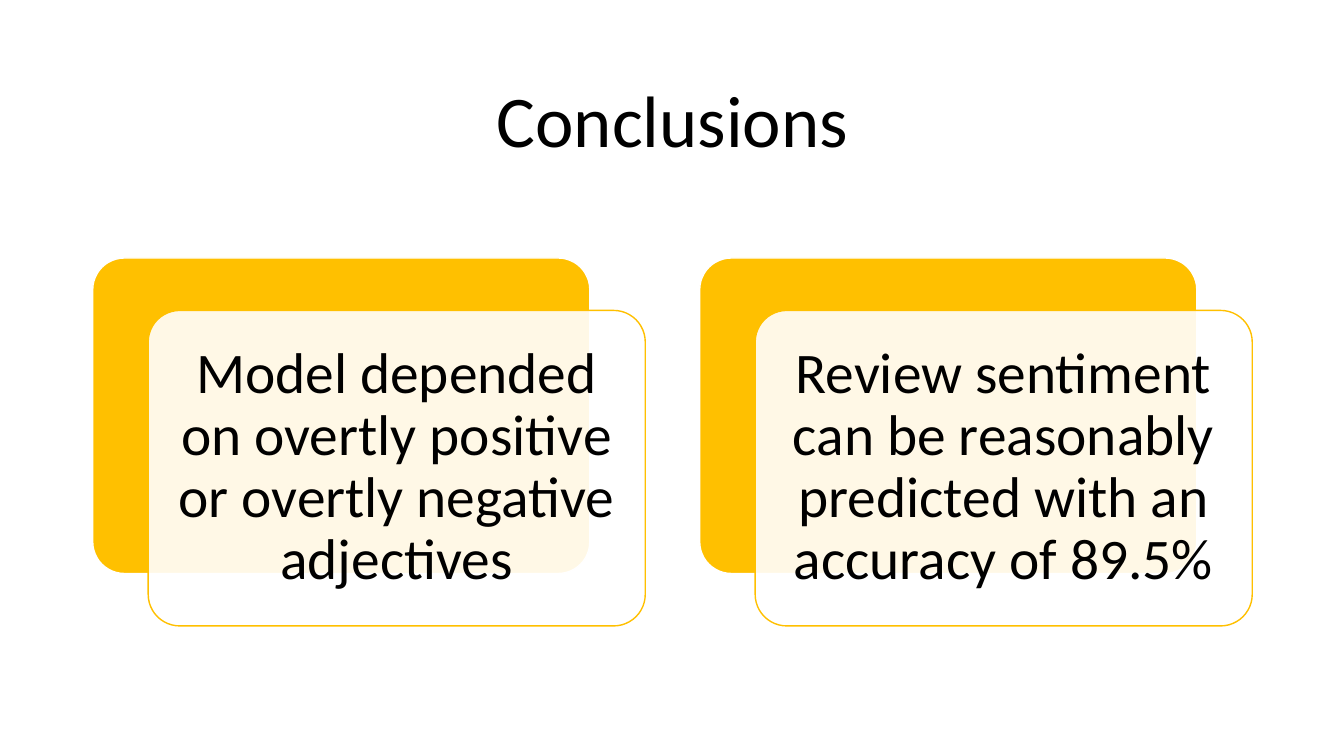
from dataclasses import dataclass

from lxml.etree import SubElement
from pptx import Presentation
from pptx.dml.color import RGBColor
from pptx.enum.shapes import MSO_SHAPE as Preset
from pptx.enum.text import MSO_ANCHOR as Anchor, PP_ALIGN as Align
from pptx.oxml.ns import qn
from pptx.slide import Slide
from pptx.util import Emu, Pt

EMU_PER_PX = 9144  # 100 px to the inch


@dataclass(frozen=True)
class Theme:
    font: str = "Calibri"
    text: RGBColor = RGBColor(0x00, 0x00, 0x00)
    paper: RGBColor = RGBColor(0xFF, 0xFF, 0xFF)
    accent: RGBColor = RGBColor(0xFF, 0xC0, 0x00)
    title_size: int = 52
    card_size: int = 41
    line_width: int = 1
    line_spacing: float = 0.9
    corner: float = 0.1
    card_opacity: int = 90


@dataclass(frozen=True)
class Box:
    left: int
    top: int
    width: int
    height: int

    def moved(self, right: int, down: int) -> "Box":
        return Box(self.left + right, self.top + down, self.width, self.height)

    def shrunk(self, margin: int) -> "Box":
        return Box(self.left + margin, self.top + margin,
                   self.width - 2 * margin, self.height - 2 * margin)

    def emu(self) -> tuple[Emu, ...]:
        return tuple(px(n) for n in (self.left, self.top, self.width, self.height))


THEME = Theme()
SLIDE_WIDTH, SLIDE_HEIGHT = 1333, 750
TITLE_BOX = Box(92, 61, 1150, 124)
FIRST_PANEL = Box(92, 256, 493, 313)
PANEL_PITCH = 602
CARD_SHIFT = (55, 52)
CARD_MARGIN = 9
TITLE_INSET = (10, 5)
CARD_INSET = (17, 17)
CONCLUSIONS = (
    "Model depended on overtly positive or overtly negative adjectives",
    "Review sentiment can be reasonably predicted with an accuracy of 89.5%",
)


def px(length: int) -> Emu:
    return Emu(length * EMU_PER_PX)


def add_text(slide: Slide, box: Box, text: str, size: int, inset: tuple[int, int]) -> None:
    frame = slide.shapes.add_textbox(*box.emu()).text_frame
    frame.word_wrap = True
    frame.vertical_anchor = Anchor.MIDDLE
    frame.margin_left = frame.margin_right = px(inset[0])
    frame.margin_top = frame.margin_bottom = px(inset[1])
    paragraph = frame.paragraphs[0]
    paragraph.alignment = Align.CENTER
    paragraph.line_spacing = THEME.line_spacing
    run = paragraph.add_run()
    run.text = text
    run.font.name = THEME.font
    run.font.size = Pt(size)
    run.font.color.rgb = THEME.text


def add_panel(slide: Slide, box: Box, fill: RGBColor, line: RGBColor, opacity: int = 100) -> None:
    """Draw a rounded rectangle; opacity is a percentage."""
    shape = slide.shapes.add_shape(Preset.ROUNDED_RECTANGLE, *box.emu())
    shape.adjustments[0] = THEME.corner
    shape.shadow.inherit = False
    shape.fill.solid()
    shape.fill.fore_color.rgb = fill
    shape.line.color.rgb = line
    shape.line.width = Pt(THEME.line_width)
    if opacity < 100:
        color = shape.fill._xPr.find(qn("a:solidFill")).find(qn("a:srgbClr"))
        SubElement(color, qn("a:alpha")).set("val", str(opacity * 1000))


def add_conclusion(slide: Slide, panel: Box, text: str) -> None:
    card = panel.moved(*CARD_SHIFT)
    add_panel(slide, panel, THEME.accent, THEME.paper)
    add_panel(slide, card, THEME.paper, THEME.accent, THEME.card_opacity)
    add_text(slide, card.shrunk(CARD_MARGIN), text, THEME.card_size, CARD_INSET)


def main() -> None:
    presentation = Presentation()
    presentation.slide_width = px(SLIDE_WIDTH)
    presentation.slide_height = px(SLIDE_HEIGHT)
    slide = presentation.slides.add_slide(presentation.slide_layouts[6])
    add_text(slide, TITLE_BOX, "Conclusions", THEME.title_size, TITLE_INSET)
    for index, text in enumerate(CONCLUSIONS):
        add_conclusion(slide, FIRST_PANEL.moved(index * PANEL_PITCH, 0), text)
    presentation.save("out.pptx")


if __name__ == "__main__":
    main()
